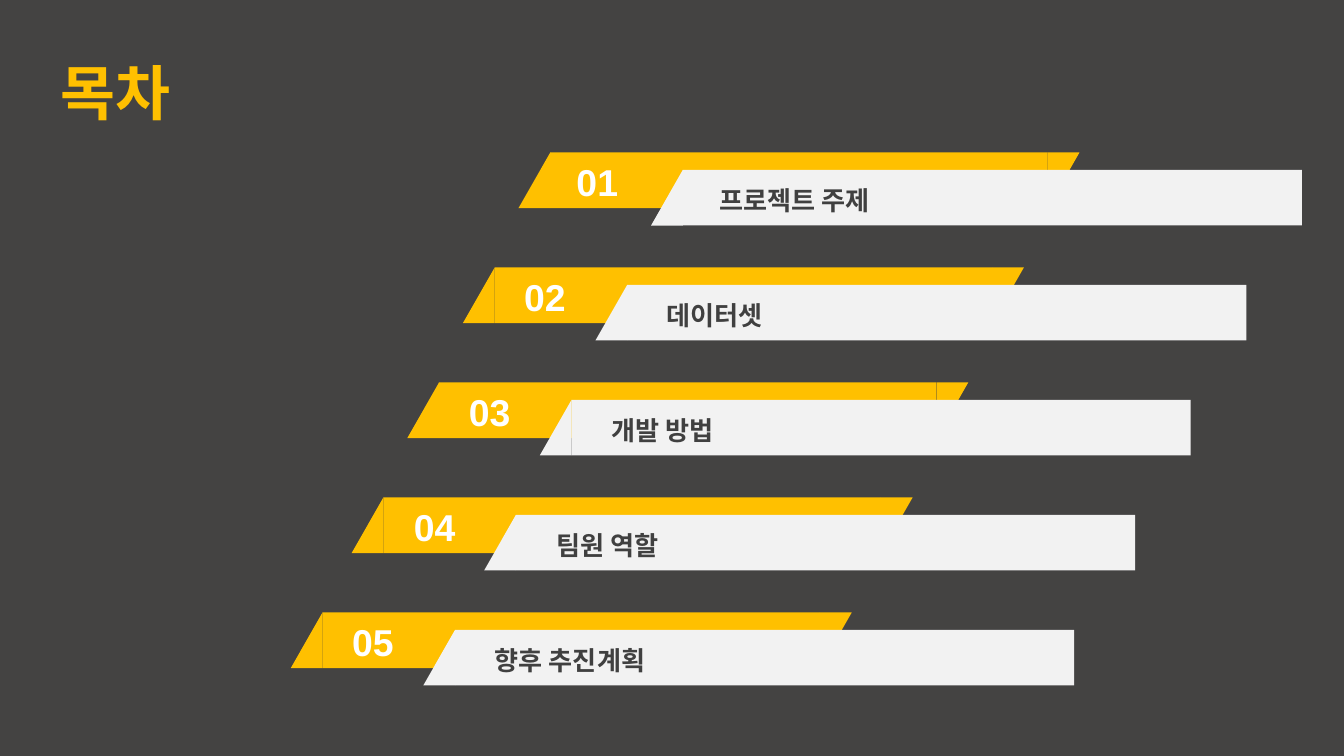
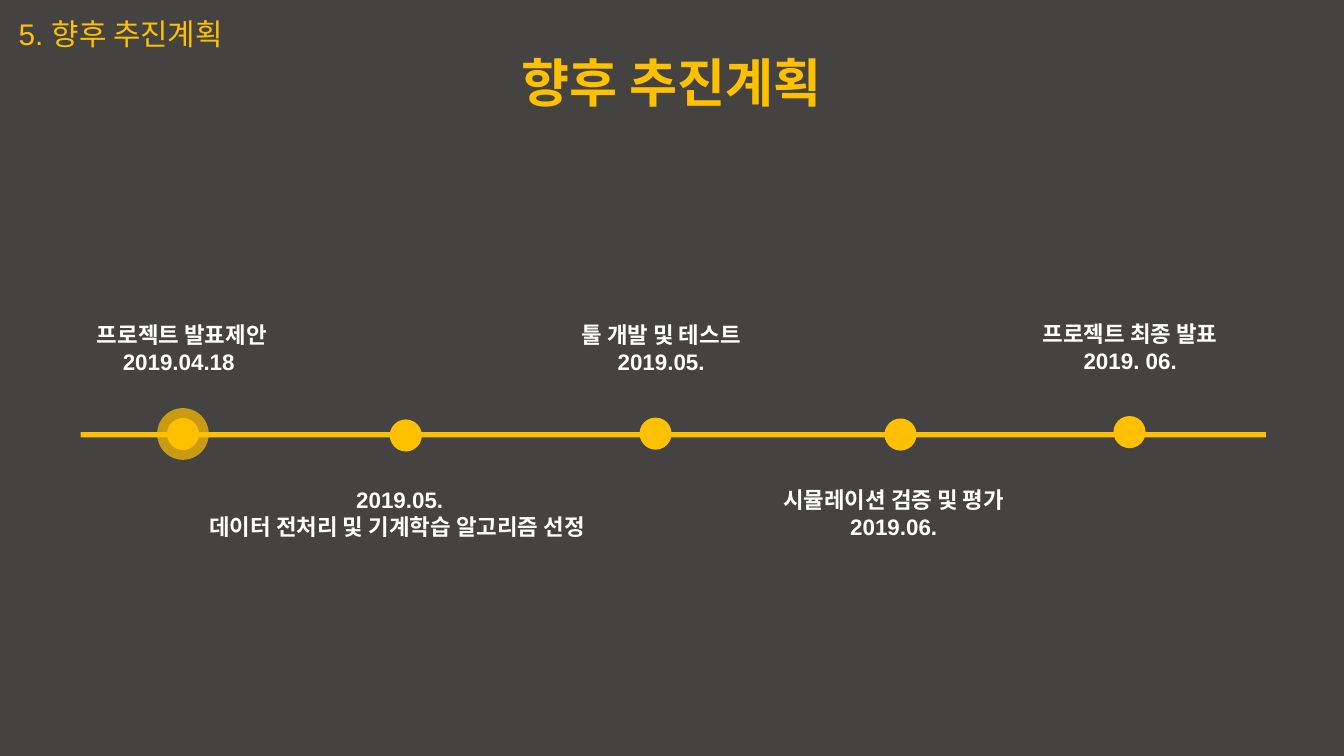
from dataclasses import dataclass

from lxml.etree import SubElement
from pptx import Presentation
from pptx.dml.color import RGBColor as Rgb
from pptx.enum.shapes import MSO_SHAPE as Preset
from pptx.enum.text import MSO_ANCHOR as Anchor
from pptx.enum.text import MSO_AUTO_SIZE as AutoSize
from pptx.enum.text import PP_ALIGN as Align
from pptx.oxml.ns import qn
from pptx.util import Pt


@dataclass(frozen=True)
class Theme:
    background: Rgb = Rgb(0x44, 0x43, 0x42)
    gold: Rgb = Rgb(0xFF, 0xC0, 0x00)
    pale: Rgb = Rgb(0xF2, 0xF2, 0xF2)
    dark: Rgb = Rgb(0x40, 0x40, 0x40)
    white: Rgb = Rgb(0xFF, 0xFF, 0xFF)
    font: str = "Arial"
    contents_title: int = 32
    title: int = 28
    number: int = 20
    section: int = 16
    label: int = 14
    milestone: int = 12


THEME = Theme()
SLIDE_WIDTH, SLIDE_HEIGHT = 720, 405

# Contents ribbons: heading, left of the gold bar, left of the number
CONTENTS = [
    ("프로젝트 주제", 294.8, 295.9),
    ("데이터셋", 265, 267.8),
    ("개발 방법", 235.2, 238.3),
    ("팀원 역할", 205.4, 208.8),
    ("향후 추진계획", 172.8, 175.7),
]
ROW_TOP, ROW_STEP = 81.7, 61.6
BAR_HEIGHT, SLANT = 29.8, 17
GOLD_WIDTH, PALE_WIDTH = 266.5, 331.7
PALE_SHIFT, PALE_DROP = 71, 9.3

# Milestones: dot centre, text box (left, top, width, height), lines
MILESTONES = [
    ((98, 232.5), (-20.2, 168.5, 235.4, 36), ("프로젝트 발표제안", "2019.04.18 ")),
    ((217.4, 233.3), (87.8, 257, 252.7, 65.5),
     ("2019.05.", "데이터 전처리 및 기계학습 알고리즘 선정 ")),
    ((351.2, 232.3), (234.7, 168.5, 239, 51), ("툴 개발 및 테스트", "2019.05.")),
    ((482.4, 232.8), (359.3, 257, 239, 51), ("시뮬레이션 검증 및 평가", "2019.06.")),
    ((605.1, 231.5), (493.9, 167.8, 223.2, 36), ("프로젝트 최종 발표", "2019. 06.")),
]
DOT_SIZE, HALO_SIZE = 17.2, 27.7


def add_text(shapes, box, *lines, size, color, bold=True, align=Align.LEFT,
             anchor=Anchor.TOP, grow=True, space_before=0):
    """Add a text box with one paragraph for each line."""
    frame = shapes.add_textbox(*map(Pt, box)).text_frame
    frame.word_wrap = True
    frame.vertical_anchor = anchor
    frame.auto_size = AutoSize.SHAPE_TO_FIT_TEXT if grow else AutoSize.NONE
    for index, line in enumerate(lines):
        paragraph = frame.add_paragraph() if index else frame.paragraphs[0]
        paragraph.alignment = align
        paragraph.space_before = Pt(space_before)
        run = paragraph.add_run()
        run.text = line
        run.font.name = THEME.font
        run.font.size = Pt(size)
        run.font.bold = bold
        run.font.color.rgb = color


def add_title(slide, text, box, size, align=Align.LEFT):
    add_text(slide.shapes, box, text, size=size, color=THEME.gold, align=align,
             anchor=Anchor.MIDDLE, grow=False, space_before=size * 0.2)


def add_filled(shapes, preset, box, color, opacity=None):
    shape = shapes.add_shape(preset, *map(Pt, box))
    shape.shadow.inherit = False
    shape.line.fill.background()
    shape.fill.solid()
    shape.fill.fore_color.rgb = color
    if opacity is not None:
        color_element = next(shape.fill._xPr.iter(qn("a:srgbClr")))
        SubElement(color_element, qn("a:alpha"), val=str(opacity * 1000))
    return shape


def add_slant(shapes, left, top, rotation, color):
    """Add a right triangle, turned on its side, whose visible left is given."""
    offset = (BAR_HEIGHT - SLANT) / 2
    box = (left - offset, top + offset, BAR_HEIGHT, SLANT)
    triangle = add_filled(shapes, Preset.ISOSCELES_TRIANGLE, box, color)
    triangle.adjustments[0] = 0
    triangle.rotation = rotation


def add_bar(shapes, left, top, width, color):
    """Add a bar with a slanted left end."""
    add_filled(shapes, Preset.RECTANGLE, (left, top, width, BAR_HEIGHT), color)
    add_slant(shapes, left - SLANT, top, 270, color)


def add_ribbon(slide, number, heading, left, top, number_left):
    shapes = slide.shapes.add_group_shape().shapes
    add_bar(shapes, left, top, GOLD_WIDTH, THEME.gold)
    add_slant(shapes, left + GOLD_WIDTH, top, 90, THEME.gold)
    add_bar(shapes, left + PALE_SHIFT, top + PALE_DROP, PALE_WIDTH, THEME.pale)
    add_text(shapes, (number_left, top, 48.2, 31.5), f"{number:02}",
             size=THEME.number, color=THEME.white, align=Align.CENTER)
    add_text(shapes, (number_left + 82.3, top + 13.7, 292.3, 24.2), heading,
             size=THEME.label, color=THEME.dark)


def add_dot(slide, center, size=DOT_SIZE, opacity=None):
    x, y = center
    add_filled(slide.shapes, Preset.OVAL, (x - size / 2, y - size / 2, size, size),
               THEME.gold, opacity)


def build_contents(slide):
    add_title(slide, "목차", (25.2, 26.6, 436.3, 45.4), THEME.contents_title)
    for index, (heading, left, number_left) in enumerate(CONTENTS):
        add_ribbon(slide, index + 1, heading, left, ROW_TOP + index * ROW_STEP, number_left)


def build_schedule(slide):
    add_title(slide, "향후 추진계획", (0, 20.9, SLIDE_WIDTH, 45.4), THEME.title, Align.CENTER)
    add_text(slide.shapes, (2.9, 5, 198.7, 26.6), "5. 향후 추진계획",
             size=THEME.section, color=THEME.gold, bold=False)

    # Timeline with the current milestone highlighted
    add_filled(slide.shapes, Preset.RECTANGLE, (43.2, 231.5, 635, 2.8), THEME.gold)
    add_dot(slide, MILESTONES[0][0], HALO_SIZE, opacity=71)
    for center, box, lines in MILESTONES:
        add_dot(slide, center)
        add_text(slide.shapes, box, *lines, size=THEME.milestone,
                 color=THEME.white, align=Align.CENTER)


def main():
    presentation = Presentation()
    presentation.slide_width = Pt(SLIDE_WIDTH)
    presentation.slide_height = Pt(SLIDE_HEIGHT)

    # Background shared by all slides
    background = presentation.slide_master.background.fill
    background.solid()
    background.fore_color.rgb = THEME.background

    blank = presentation.slide_layouts[6]
    for build in (build_contents, build_schedule):
        build(presentation.slides.add_slide(blank))
    presentation.save("out.pptx")


if __name__ == "__main__":
    main()
